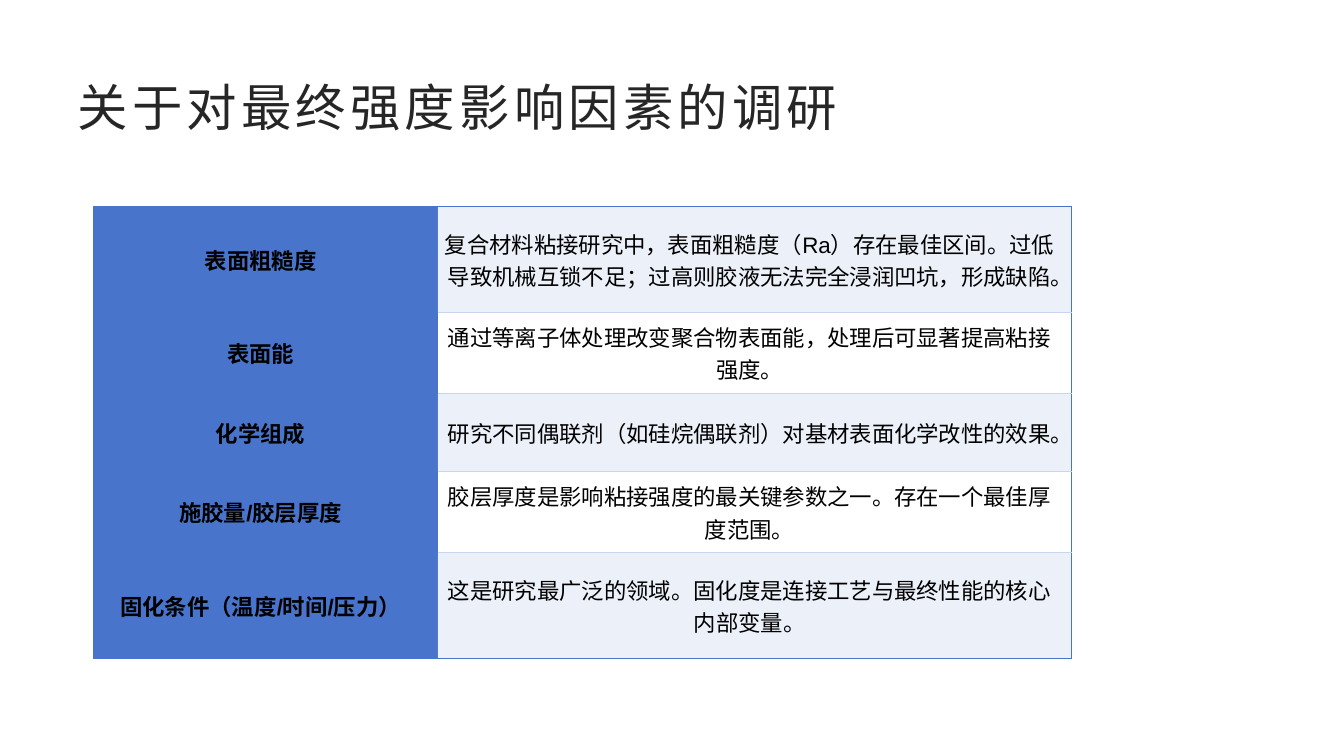
"""Build a slide with a two-column table of factors that affect bond strength."""
from dataclasses import dataclass

from lxml.etree import SubElement
from pptx import Presentation
from pptx.dml.color import RGBColor
from pptx.enum.lang import MSO_LANGUAGE_ID
from pptx.enum.text import MSO_ANCHOR, PP_ALIGN
from pptx.oxml import parse_xml
from pptx.oxml.ns import nsdecls, qn
from pptx.util import Inches, Pt

TITLE = "关于对最终强度影响因素的调研"
FACTORS = [
    ("表面粗糙度", "复合材料粘接研究中，表面粗糙度（Ra）存在最佳区间。过低导致机械互锁不足；过高则胶液无法完全浸润凹坑，形成缺陷。"),
    ("表面能", "通过等离子体处理改变聚合物表面能，处理后可显著提高粘接强度。"),
    ("化学组成", "研究不同偶联剂（如硅烷偶联剂）对基材表面化学改性的效果。"),
    ("施胶量/胶层厚度", "胶层厚度是影响粘接强度的最关键参数之一。存在一个最佳厚度范围。"),
    ("固化条件（温度/时间/压力）", "这是研究最广泛的领域。固化度是连接工艺与最终性能的核心内部变量。"),
]
SLIDE_SIZE = (13.33, 7.5)
TITLE_BOX = (0.67, 0.67, 12, 0.77)
TABLE_ORIGIN = (0.93, 2.05)
COLUMN_WIDTHS = (3.41, 6.29)
OUTER_ROW, INNER_ROW = 1.05, 0.78


@dataclass(frozen=True)
class Theme:
    font: str = "Arial"
    title_color: str = "262626"
    text_color: str = "000000"
    accent: str = "4874CB"
    band: str = "B6C7EA"
    band_alpha: int = 25
    divider: str = "C8D5EF"
    title_size: int = 36
    title_spacing: int = 3
    text_size: int = 16
    border: float = 0.75


THEME = Theme()


def style_span(span, size, color, bold=False):
    span.font.name = THEME.font
    span.font.size = Pt(size)
    span.font.bold = bold
    span.font.color.rgb = RGBColor.from_string(color)
    span.font.language_id = MSO_LANGUAGE_ID.SIMPLIFIED_CHINESE


def set_borders(cell, colors):
    properties = cell._tc.get_or_add_tcPr()
    for index, (side, color) in enumerate(zip("LRTB", colors)):
        paint = f'<a:solidFill><a:srgbClr val="{color}"/></a:solidFill>' if color else "<a:noFill/>"
        properties.insert(index, parse_xml(
            f'<a:ln{side} {nsdecls("a")} w="{Pt(THEME.border)}">{paint}</a:ln{side}>'))


def set_fill(cell, color, alpha=100):
    cell.fill.solid()
    cell.fill.fore_color.rgb = RGBColor.from_string(color)
    if alpha < 100:
        shade = cell._tc.tcPr.find(".//" + qn("a:srgbClr"))
        SubElement(shade, qn("a:alpha"), val=str(alpha * 1000))


def add_title(page):
    title = page.shapes.title
    title.left, title.top, title.width, title.height = map(Inches, TITLE_BOX)
    frame = title.text_frame
    frame.text = TITLE
    frame.vertical_anchor = MSO_ANCHOR.MIDDLE
    para = frame.paragraphs[0]
    para.alignment = PP_ALIGN.LEFT
    span = para.runs[0]
    style_span(span, THEME.title_size, THEME.title_color)
    span.font._element.set("spc", str(THEME.title_spacing * 100))


def fill_cell(cell, text, row, is_label):
    cell.text = text
    cell.vertical_anchor = MSO_ANCHOR.MIDDLE
    cell.margin_left, cell.margin_right = 0, Inches(0.1)
    cell.margin_top = cell.margin_bottom = Inches(0.08)
    para = cell.text_frame.paragraphs[0]
    para.alignment = PP_ALIGN.CENTER
    style_span(para.runs[0], THEME.text_size, THEME.text_color, is_label)
    if is_label:
        set_fill(cell, THEME.accent)
        set_borders(cell, [THEME.accent] * 4)
        return
    if row % 2 == 0:
        set_fill(cell, THEME.band, THEME.band_alpha)
    else:
        cell.fill.background()
    top = THEME.accent if row == 0 else THEME.divider
    bottom = THEME.accent if row == len(FACTORS) - 1 else THEME.divider
    set_borders(cell, (None, THEME.accent, top, bottom))


def add_factor_table(page):
    last = len(FACTORS) - 1
    heights = [OUTER_ROW if row in (0, last) else INNER_ROW for row in range(len(FACTORS))]
    size = (sum(COLUMN_WIDTHS), sum(heights))
    table = page.shapes.add_table(
        len(FACTORS), len(COLUMN_WIDTHS), *map(Inches, TABLE_ORIGIN + size)).table
    table.first_row = table.horz_banding = False
    for column, width in zip(table.columns, COLUMN_WIDTHS):
        column.width = Inches(width)
    for row, (height, texts) in enumerate(zip(heights, FACTORS)):
        table.rows[row].height = Inches(height)
        for column, text in enumerate(texts):
            fill_cell(table.cell(row, column), text, row, column == 0)


def main():
    deck = Presentation()
    deck.slide_width, deck.slide_height = map(Inches, SLIDE_SIZE)
    page = deck.slides.add_slide(deck.slide_layouts[5])
    add_title(page)
    add_factor_table(page)
    deck.save("out.pptx")


if __name__ == "__main__":
    main()
